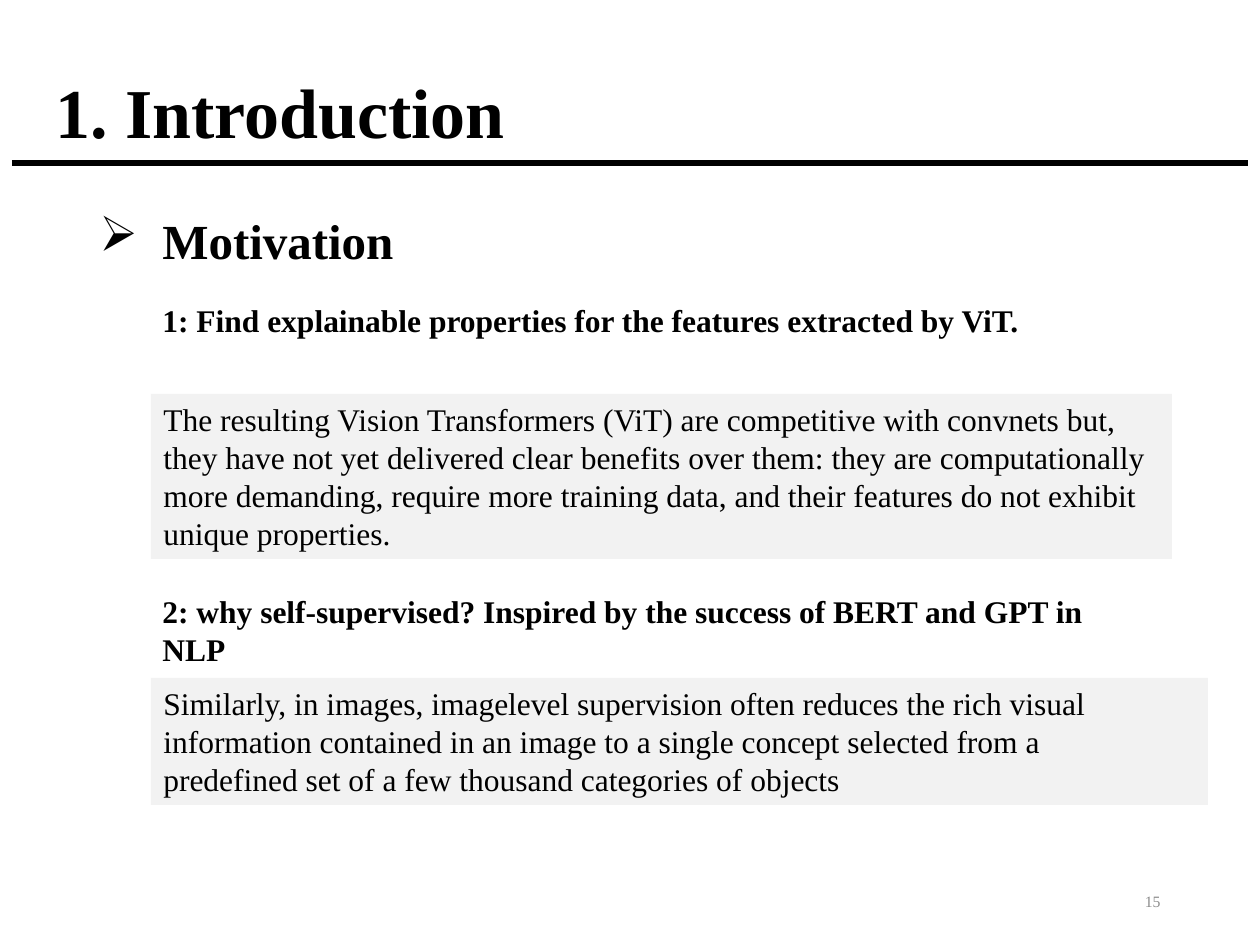
"""Build the introduction slide on the motivation for self-supervised ViT."""
from dataclasses import dataclass

from lxml import etree
from pptx import Presentation
from pptx import util as u
from pptx.dml.color import RGBColor
from pptx.enum import shapes, text
from pptx.oxml.ns import qn


@dataclass(frozen=True)
class Theme:
    font: str = "Times New Roman"
    ink: str = "000000"
    muted: str = "8C8C8C"
    panel: str = "F2F2F2"
    title: int = 40
    heading: int = 28
    body: int = 18
    footer: int = 9
    rule: int = 3


THEME = Theme()
PX = u.Inches(1) / 126
SLIDE = (1260, 945)
RULE = (12, 163, 1248, 163)
BULLET_INDENT = 63

TITLE = ("1. Introduction", (43, 49, 1086, 134))
HEADING = ("Motivation", (87, 204, 1121, 672))
PAGE_NUMBER = ("15", (890, 876, 283, 50))
CLAIMS = [
    ("1: Find explainable properties for the features extracted by ViT.",
     (150, 295, 994, 51)),
    ("2: why self-supervised? Inspired by the success of BERT and GPT in NLP",
     (150, 586, 994, 89)),
]
QUOTES = [
    (["The resulting Vision Transformers (ViT) are competitive with convnets but, "
      "they have not yet delivered clear benefits over them: they are computationally "
      "more demanding, require more training data, and their features do not exhibit "
      "unique properties."],
     (151, 394, 1021, 165)),
    (["Similarly, in images, imagelevel supervision often reduces the rich visual "
      "information contained in an image to a single concept selected from a",
      "predefined set of a few thousand categories of objects"],
     (151, 678, 1057, 127)),
]


def emu(lengths):
    return [round(length * PX) for length in lengths]


def write(box, lines, size, color=THEME.ink, bold=False,
          anchor=text.MSO_ANCHOR.TOP, align=text.PP_ALIGN.LEFT):
    frame = box.text_frame
    frame.word_wrap = True
    frame.vertical_anchor = anchor
    for index, line in enumerate(lines):
        para = frame.add_paragraph() if index else frame.paragraphs[0]
        para.alignment = align
        span = para.add_run()
        span.text = line
        span.font.name = THEME.font
        span.font.size = u.Pt(size)
        span.font.bold = bold
        span.font.color.rgb = RGBColor.from_string(color)
    return frame.paragraphs[0]


def add_text(page, item, size, **style):
    line, place = item
    return write(page.shapes.add_textbox(*emu(place)), [line], size, **style)


def add_panel(page, lines, place):
    panel = page.shapes.add_shape(shapes.MSO_SHAPE.RECTANGLE, *emu(place))
    panel.shadow.inherit = False
    panel.fill.solid()
    panel.fill.fore_color.rgb = RGBColor.from_string(THEME.panel)
    panel.line.fill.background()
    write(panel, lines, THEME.body)


def add_bullet(para, symbol):
    props = para._p.get_or_add_pPr()
    indent = round(BULLET_INDENT * PX)
    props.set("marL", str(indent))
    props.set("indent", str(-indent))
    etree.SubElement(props, qn("a:buChar")).set("char", symbol)


def add_rule(page):
    rule = page.shapes.add_connector(shapes.MSO_CONNECTOR.STRAIGHT, *emu(RULE))
    rule.line.color.rgb = RGBColor.from_string(THEME.ink)
    rule.line.width = u.Pt(THEME.rule)
    etree.SubElement(rule._element.spPr, qn("a:effectLst"))


def main():
    deck = Presentation()
    deck.slide_width, deck.slide_height = emu(SLIDE)
    page = deck.slides.add_slide(deck.slide_layouts[6])
    middle = text.MSO_ANCHOR.MIDDLE

    add_rule(page)
    title = add_text(page, TITLE, THEME.title, bold=True, anchor=middle)
    title.line_spacing = 0.9
    add_bullet(add_text(page, HEADING, THEME.heading, bold=True), "➢")
    add_text(page, PAGE_NUMBER, THEME.footer, color=THEME.muted,
             anchor=middle, align=text.PP_ALIGN.RIGHT)
    for lines, place in QUOTES:
        add_panel(page, lines, place)
    for claim in CLAIMS:
        add_text(page, claim, THEME.body, bold=True)
    deck.save("out.pptx")


if __name__ == "__main__":
    main()
